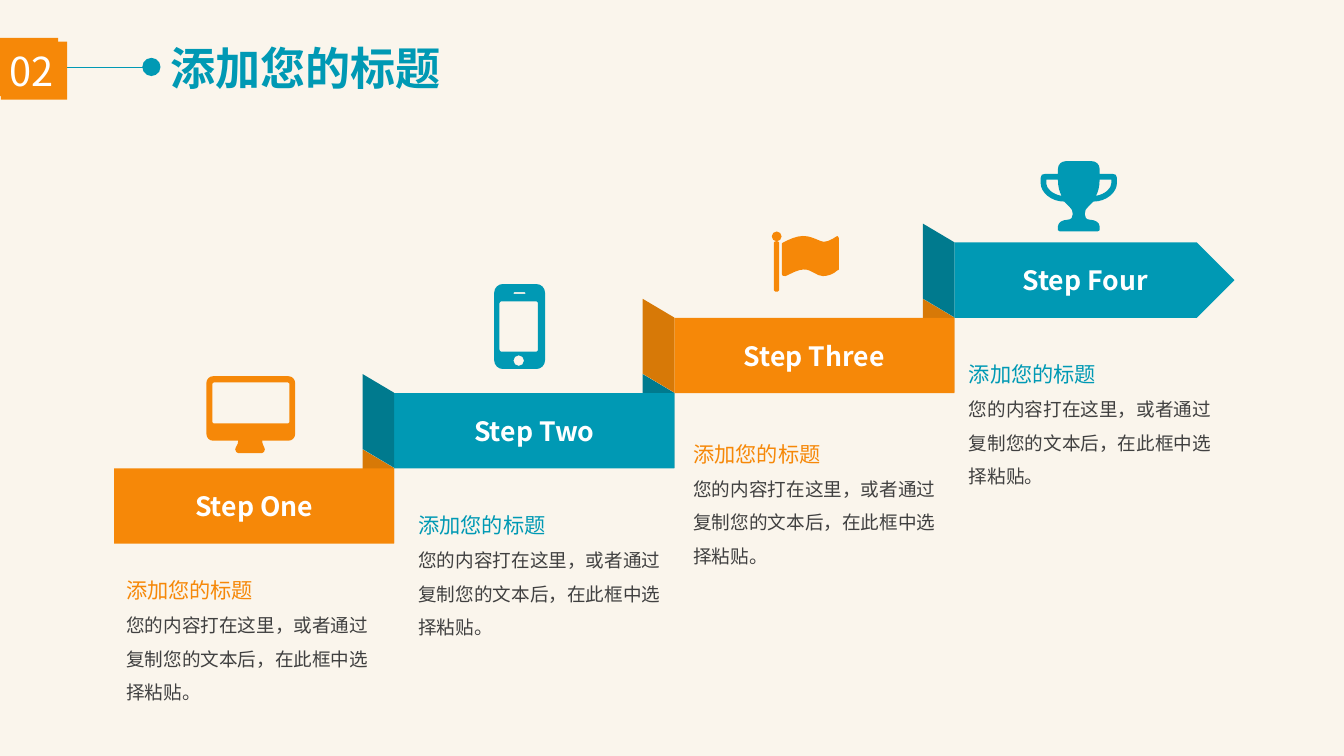
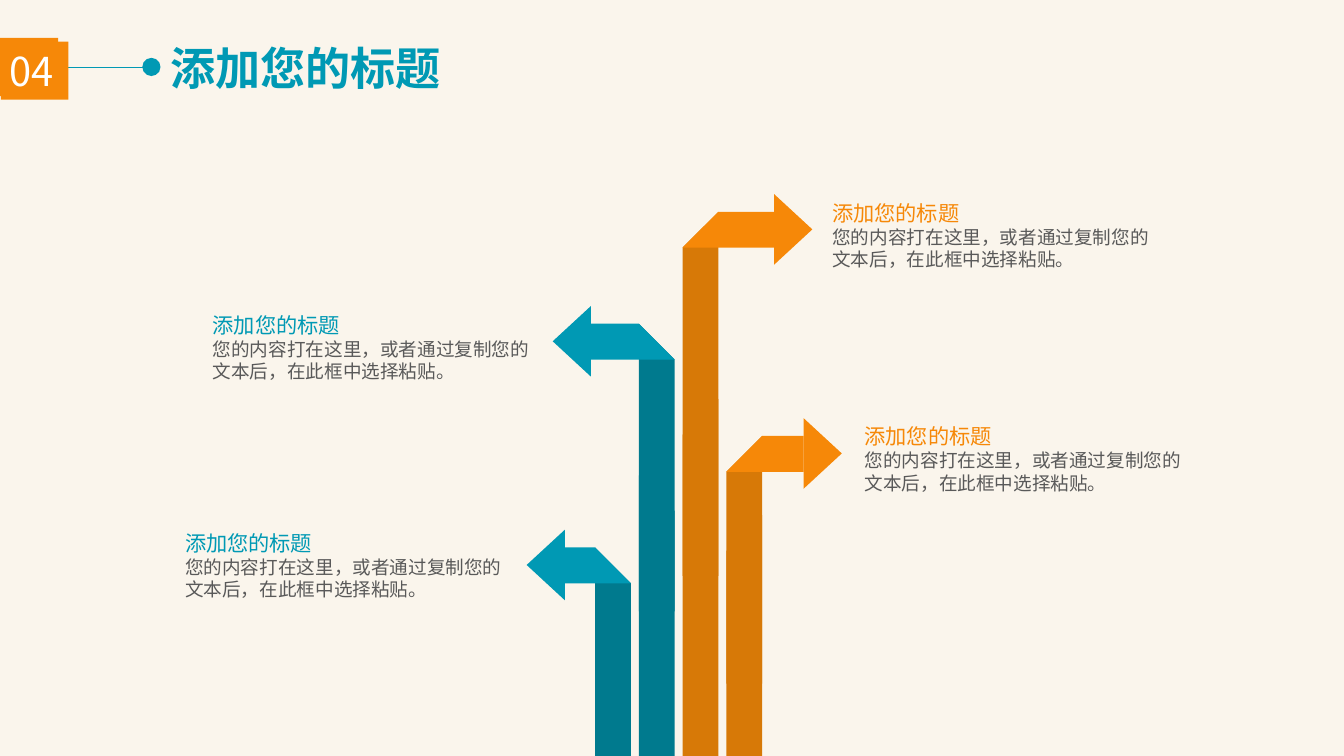
import dataclasses
import typing

import lxml.etree
import pptx
import pptx.dml.color
import pptx.enum.shapes
import pptx.enum.text
import pptx.oxml.ns
import pptx.util

Pt = pptx.util.Pt
qn = pptx.oxml.ns.qn
SHAPE = pptx.enum.shapes.MSO_SHAPE
ALIGN = pptx.enum.text.PP_ALIGN
ANCHOR = pptx.enum.text.MSO_ANCHOR
Contour = list[tuple[float, ...]]

COLORS = {
    "cream": "FAF5EC", "orange": "F68808", "dark orange": "D77907",
    "teal": "0099B4", "dark teal": "007A8E", "white": "FFFFFF",
    "charcoal": "404040", "gray": "595959",
}
FONT = "Noto Sans CJK SC"
SLIDE_WIDTH, SLIDE_HEIGHT = 1012.5, 569.5
TITLE = "添加您的标题"
BODY = "您的内容打在这里，或者通过复制您的文本后，在此框中选择粘贴。"

BAR_WIDTH, BAR_HEIGHT, BAR_RISE = 211, 56.8, 56.7
FIRST_BAR_LEFT, FIRST_BAR_TOP = 86, 352.8
FOLD_WIDTH, FOLD_HEIGHT = 23.8, 70.6
BAND, HEAD_LENGTH, HEAD_REACH = 27, 28.8, 26.6
STEM_FOOT = 574.8


@dataclasses.dataclass(frozen=True)
class Line:
    text: str
    size: float
    color: str
    bold: bool = False
    pitch: float | None = None


@dataclasses.dataclass(frozen=True)
class Step:
    label: str
    color: str
    note_left: float
    note_top: float
    icon: list[Contour]


@dataclasses.dataclass(frozen=True)
class Arrow:
    stem: float
    top: float
    stem_piece: float
    tip: float
    note_left: float
    note_top: float


def rgb(color: str) -> pptx.dml.color.RGBColor:
    return pptx.dml.color.RGBColor.from_string(COLORS[color])


def paint(shape: typing.Any, color: str) -> typing.Any:
    shape.shadow.inherit = False
    shape.fill.solid()
    shape.fill.fore_color.rgb = rgb(color)
    shape.line.fill.background()
    return shape


def write(frame: typing.Any, lines: list[Line], inset: tuple[float, float] = (7.2, 3.6),
          align: ALIGN = ALIGN.LEFT, anchor: ANCHOR = ANCHOR.MIDDLE, wrap: bool = True) -> None:
    across, down = map(Pt, inset)
    frame_format = {
        "margin_left": across, "margin_right": across, "margin_top": down, "margin_bottom": down,
        "auto_size": pptx.enum.text.MSO_AUTO_SIZE.NONE, "vertical_anchor": anchor, "word_wrap": wrap,
    }
    for name, value in frame_format.items():
        setattr(frame, name, value)
    for index, line in enumerate(lines):
        paragraph = frame.add_paragraph() if index else frame.paragraphs[0]
        paragraph.alignment = align
        if line.pitch:
            paragraph.line_spacing = Pt(line.pitch)
        run = paragraph.add_run()
        run.text = line.text
        for name, value in {"name": FONT, "size": Pt(line.size), "bold": line.bold}.items():
            setattr(run.font, name, value)
        run.font.color.rgb = rgb(line.color)
        east_asian = lxml.etree.SubElement(run._r.get_or_add_rPr(), qn("a:ea"))
        east_asian.set("typeface", FONT)


def add_preset(slide: typing.Any, kind: SHAPE, left: float, top: float,
               width: float, height: float, color: str) -> typing.Any:
    return paint(slide.shapes.add_shape(kind, *map(Pt, (left, top, width, height))), color)


def add_outline(slide: typing.Any, contours: list[Contour], color: str) -> None:
    builder = None
    for contour in contours:
        start, *points = [(Pt(x), Pt(y)) for step in contour for x, y in zip(step[::2], step[1::2])]
        if builder is None:
            builder = slide.shapes.build_freeform(*start)
        else:
            builder.move_to(*start)
        builder.add_line_segments(points, close=True)
    shape = paint(builder.convert_to_shape(), color)

    segments = iter(list(shape._element.iter(qn("a:lnTo"))))
    for step in (step for contour in contours for step in contour[1:]):
        targets = [next(segments) for _ in step[::2]]
        if len(targets) == 3:
            curve = lxml.etree.Element(qn("a:cubicBezTo"))
            targets[0].addprevious(curve)
            for target in targets:
                curve.append(target[0])
                target.getparent().remove(target)


def add_note(slide: typing.Any, left: float, top: float, width: float, height: float,
             color: str, body: Line, inset: tuple[float, float]) -> None:
    note = slide.shapes.add_textbox(*map(Pt, (left, top, width, height)))
    write(note.text_frame, [Line(TITLE, 16, color, pitch=29.5), body], inset, anchor=ANCHOR.TOP)


def rounded(left: float, top: float, right: float, bottom: float, radius: float) -> Contour:
    k = radius * 0.45
    return [
        (left + radius, top), (right - radius, top),
        (right - k, top, right, top + k, right, top + radius), (right, bottom - radius),
        (right, bottom - k, right - k, bottom, right - radius, bottom), (left + radius, bottom),
        (left + k, bottom, left, bottom - k, left, bottom - radius), (left, top + radius),
        (left, top + k, left + k, top, left + radius, top),
    ]


def mirrored(contour: Contour, axis: float) -> Contour:
    flipped = [tuple(2 * axis - v if i % 2 == 0 else v for i, v in enumerate(step)) for step in contour]
    result = [flipped[-1][-2:]]
    for step, before in zip(flipped[:0:-1], flipped[-2::-1]):
        controls = step[2:4] + step[0:2] if len(step) == 6 else ()
        result.append(controls + before[-2:])
    return result


def monitor() -> list[Contour]:
    stand = [
        (179.5, 332), (197.5, 332), (197.5, 335, 199.5, 337, 199.5, 338.5),
        (199.5, 340, 198.5, 341.3, 197.3, 341.3), (179.5, 341.3),
        (178.5, 341.3, 177.2, 340, 177.2, 338.5), (177.2, 337, 179.5, 335, 179.5, 332),
    ]
    return [rounded(155.5, 283.4, 222.3, 332, 5), rounded(160, 288, 218, 319, 1), stand]


def phone() -> list[Contour]:
    return [rounded(372.3, 214, 410.6, 278, 6.5), rounded(376.3, 227, 405.3, 265, 1.5),
            rounded(386.7, 220.2, 396, 221.5, 0.6), rounded(386.8, 267.7, 394.8, 275.7, 4)]


def flag() -> list[Contour]:
    cloth = [
        (632, 202.3), (632, 203, 632, 203.8, 630.7, 203.8),
        (627.8, 206.6, 623.5, 208, 619.9, 208), (614.9, 208, 612, 203, 605.5, 203),
        (601.2, 203, 596.2, 206, 591.8, 208), (590, 208.5, 589, 207.5, 589, 206.5),
        (589, 184.5), (589, 183.5, 589, 183, 589.7, 182.9),
        (594, 180.5, 600, 177.8, 604.8, 177.8), (610, 177.8, 613, 179.5, 617.8, 181.4),
        (621, 183.5, 626, 181, 630.7, 177.8), (631.5, 177.8, 632, 179, 632, 180),
    ]
    return [rounded(581.4, 174.4, 588.8, 181.8, 3.7), rounded(583.1, 181.8, 586.9, 219.6, 0.8), cloth]


def trophy() -> list[Contour]:
    axis = 812.7
    half = [
        (axis, 121.4), (822.2, 121.4), (825.8, 121.4, 828.4, 123.8, 828.4, 127.4),
        (828.4, 131), (838, 131), (840.2, 131, 841.4, 131.8, 841.4, 133.9),
        (841.4, 138.2), (841.4, 144.7, 833.8, 151.9, 823.7, 151.9),
        (821.5, 154, 820, 155.5, 820, 155.5), (818, 157, 817.2, 159, 817.2, 161.3),
        (817.2, 163.4, 818, 165.6, 821.5, 165.6), (825, 165.6, 828.4, 167.8, 828.4, 170.6),
        (828.4, 173.5), (827, 174.3), (axis, 174.3),
    ]
    handle = [
        (837.2, 135.4), (828.4, 135.4), (828.4, 140.4, 827.3, 144.7, 825.6, 147.6),
        (833, 146.2, 837.2, 141.8, 837.2, 138.2),
    ]
    return [half + mirrored(half, axis)[1:], handle, mirrored(handle, axis)]


STEPS = [
    Step("Step One", "orange", 85.1, 419.8, monitor()),
    Step("Step Two", "teal", 305.2, 370.8, phone()),
    Step("Step Three", "orange", 512.4, 317, flag()),
    Step("Step Four", "teal", 720, 257.1, trophy()),
]
ARROWS = [
    Arrow(514.2, 159.6, 274.3, 612, 620, 136.9),
    Arrow(547.2, 328.4, 186.7, 634.2, 644.3, 305.3),
    Arrow(508.3, 243.9, 216.7, 416.4, 153.2, 221.2),
    Arrow(475.3, 412.4, 133.2, 396.8, 132.4, 385.4),
]


def add_titled_slide(deck: typing.Any, number: str, badge_width: float) -> typing.Any:
    slide = deck.slides.add_slide(deck.slide_layouts[5])
    title = slide.shapes.title
    for name, value in {"left": 121, "top": 26.6, "width": 219.6, "height": 48.2}.items():
        setattr(title, name, Pt(value))
    write(title.text_frame, [Line(TITLE, 34, "teal", bold=True)], wrap=False)

    rule = slide.shapes.add_connector(
        pptx.enum.shapes.MSO_CONNECTOR.STRAIGHT, Pt(0), Pt(50.6), Pt(112.3), Pt(50.6))
    rule.line.color.rgb = rgb("teal")
    rule.line.width = Pt(1)
    lxml.etree.SubElement(rule._element.spPr, qn("a:effectLst"))
    add_preset(slide, SHAPE.OVAL, 107.2, 43.6, 13.7, 13.7, "teal")
    add_preset(slide, SHAPE.RECTANGLE, 0, 28.6, 43.9, 43.9, "orange")
    badge = add_preset(slide, SHAPE.RECTANGLE, 0.7, 31.3, badge_width, 43.8, "orange")
    write(badge.text_frame, [Line(number, 30, "white")], inset=(6.7, 3.6))
    return slide


def add_fold(slide: typing.Any, right: float, bottom: float, color: str) -> None:
    center_x, center_y = right - FOLD_WIDTH / 2, bottom - FOLD_HEIGHT / 2
    fold = add_preset(slide, SHAPE.FLOWCHART_DATA, center_x - FOLD_HEIGHT / 2,
                      center_y - FOLD_WIDTH / 2, FOLD_HEIGHT, FOLD_WIDTH, color)
    fold.rotation = 90


def add_step(slide: typing.Any, index: int, step: Step) -> None:
    left = FIRST_BAR_LEFT + index * BAR_WIDTH
    top = FIRST_BAR_TOP - index * BAR_RISE
    fold_bottom = top + BAR_HEIGHT - 0.5
    last = index == len(STEPS) - 1
    shade = f"dark {step.color}"
    if not last:
        add_fold(slide, left + BAR_WIDTH, fold_bottom, shade)
    kind = SHAPE.PENTAGON if last else SHAPE.RECTANGLE
    bar = add_preset(slide, kind, left, top, BAR_WIDTH, BAR_HEIGHT, step.color)
    write(bar.text_frame, [Line(step.label, 20, "white", bold=True)], align=ALIGN.CENTER)
    if index:
        add_fold(slide, left, fold_bottom, shade)
    add_outline(slide, step.icon, step.color)
    add_note(slide, step.note_left, step.note_top, 208.8, 116, step.color,
             Line(BODY, 14, "charcoal", pitch=25.2), (10, 5))


def add_arrow(slide: typing.Any, arrow: Arrow) -> None:
    side = 1 if arrow.tip > arrow.stem else -1
    color = "orange" if side > 0 else "teal"
    inner = arrow.stem + side * BAND
    base = arrow.tip - side * HEAD_LENGTH
    low, middle = arrow.top + BAND, arrow.top + BAND / 2 - 0.3
    for top in (arrow.top, STEM_FOOT - arrow.stem_piece):
        foot = top + arrow.stem_piece
        add_outline(slide, [[(inner, top), (inner, foot), (arrow.stem, foot),
                             (arrow.stem, top + BAND)]], f"dark {color}")
    band = [(base, low), (arrow.stem, low), (inner, arrow.top), (base, arrow.top)]
    head = [(arrow.tip, middle), (base, middle - HEAD_REACH), (base, middle), (base, middle + HEAD_REACH)]
    for part in (band, head):
        add_outline(slide, [part], color)
    add_note(slide, arrow.note_left, arrow.note_top, 255, 70.5, color,
             Line(BODY, 14, "gray", pitch=16.8), (7.2, 3.6))


def main() -> None:
    deck = pptx.Presentation()
    deck.slide_width, deck.slide_height = Pt(SLIDE_WIDTH), Pt(SLIDE_HEIGHT)
    backdrop = deck.slide_master.background.fill
    backdrop.solid()
    backdrop.fore_color.rgb = rgb("cream")

    staircase = add_titled_slide(deck, "02", 49.8)
    for index, step in enumerate(STEPS):
        add_step(staircase, index, step)

    branches = add_titled_slide(deck, "04", 50.8)
    for arrow in ARROWS:
        add_arrow(branches, arrow)

    deck.save("out.pptx")


if __name__ == "__main__":
    main()
